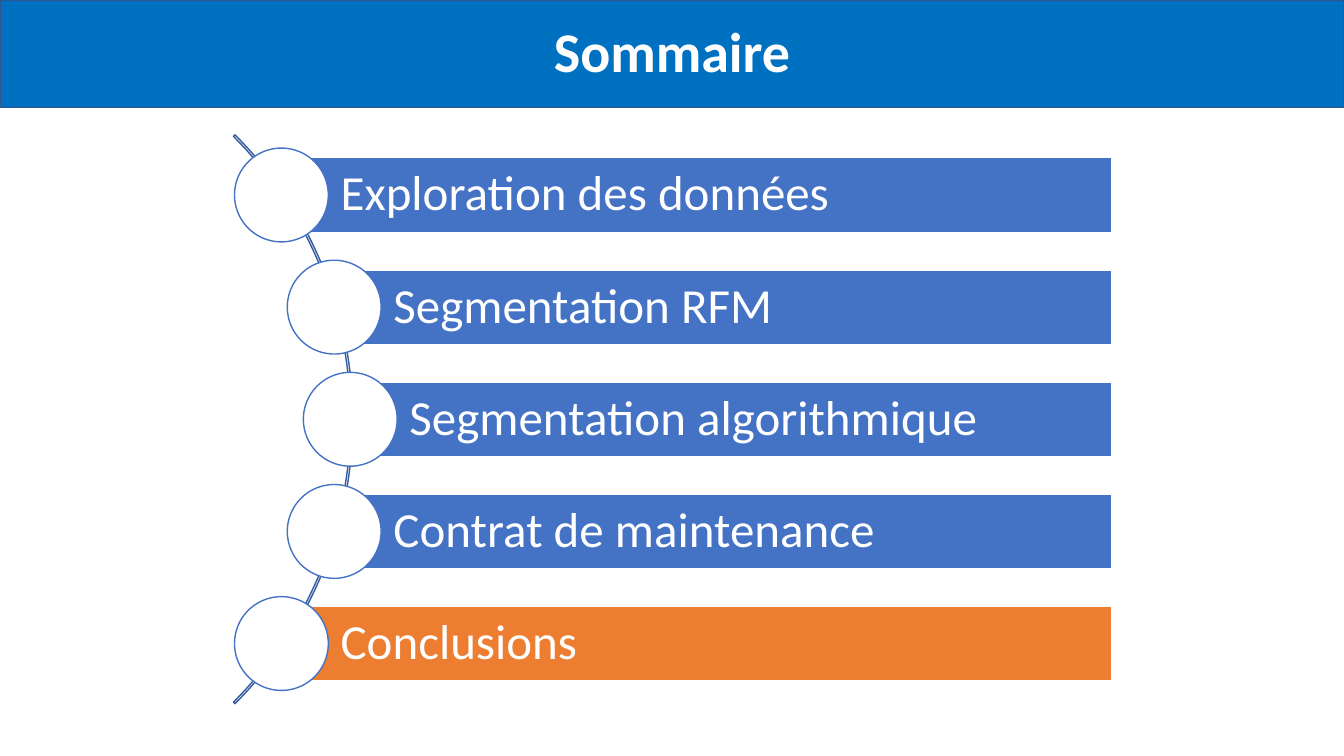
from dataclasses import dataclass
from math import sqrt

from pptx import Presentation, util as u
from pptx.dml.color import RGBColor
from pptx.enum import shapes, text

WIDTH, HEIGHT = 960, 540
BLUE, ORANGE, WHITE = "4472C4", "ED7D31", "FFFFFF"
FONT = "Calibri"

# The discs sit on a circle that shares its centre with the arc.
MID_X, MID_Y = -35.3, 299.5
ARC_SIZE = 574.6
ORBIT = 285.5
STEP = 80.1
BAR_RIGHT, BAR_HEIGHT = 794, 53.2
DISC_SIZE = 67


@dataclass
class Box:
    left: float
    top: float
    width: float
    height: float

    def points(self) -> list:
        return [u.Pt(n) for n in (self.left, self.top, self.width, self.height)]


@dataclass
class Topic:
    label: str
    fill: str = BLUE


TOPICS = [
    Topic("Exploration des données"),
    Topic("Segmentation RFM"),
    Topic("Segmentation algorithmique"),
    Topic("Contrat de maintenance"),
    Topic("Conclusions", ORANGE),
]

TITLE = {"size": u.Pt(40), "bold": True, "name": FONT}
LABEL = {"size": u.Pt(35), "bold": False, "name": FONT}
BAR_FRAME = {
    "word_wrap": True,
    "vertical_anchor": text.MSO_ANCHOR.MIDDLE,
    "margin_left": u.Pt(42.3),
    "margin_right": u.Pt(7),
    "margin_top": u.Pt(7),
    "margin_bottom": u.Pt(7),
}


def paint(color, code: str) -> None:
    color.rgb = RGBColor.from_string(code)


def set_all(item, values: dict) -> None:
    for name, value in values.items():
        setattr(item, name, value)


def add_shape(slide, kind, box: Box, fill: str, line: str):
    """Draw a flat shape; an empty fill code leaves it hollow."""
    shape = slide.shapes.add_shape(kind, *box.points())
    shape.shadow.inherit = False
    if fill:
        shape.fill.solid()
        paint(shape.fill.fore_color, fill)
    else:
        shape.fill.background()
    paint(shape.line.color, line)
    shape.line.width = u.Pt(1)
    return shape


def write(frame, words: str, style: dict, align, spacing: float) -> None:
    par = frame.paragraphs[0]
    set_all(par, {"alignment": align, "line_spacing": spacing})
    run = par.add_run()
    run.text = words
    set_all(run.font, style)
    paint(run.font.color, WHITE)


def add_title(slide) -> None:
    add_shape(slide, shapes.MSO_SHAPE.RECTANGLE, Box(0, 0, WIDTH, 77), "0070C0", "325491")
    box = slide.shapes.add_textbox(*Box(0, 8.6, WIDTH, 55.4).points())
    box.text_frame.word_wrap = True
    write(box.text_frame, "Sommaire", TITLE, text.PP_ALIGN.CENTER, 1.0)


def add_arc(slide) -> None:
    half = ARC_SIZE / 2
    box = Box(MID_X - half, MID_Y - half, ARC_SIZE, ARC_SIZE)
    arc = add_shape(slide, shapes.MSO_SHAPE.BLOCK_ARC, box, "", "365B9D")
    for index, value in enumerate((189, 27, 0.0027)):
        arc.adjustments[index] = value


def add_topic(slide, topic: Topic, rise: float) -> None:
    """Draw a bar and its disc, rise points below the arc's centre."""
    x, y = MID_X + sqrt(ORBIT ** 2 - rise ** 2), MID_Y + rise
    box = Box(x, y - BAR_HEIGHT / 2, BAR_RIGHT - x, BAR_HEIGHT)
    bar = add_shape(slide, shapes.MSO_SHAPE.RECTANGLE, box, topic.fill, WHITE)
    set_all(bar.text_frame, BAR_FRAME)
    write(bar.text_frame, topic.label, LABEL, text.PP_ALIGN.LEFT, 0.9)
    half = DISC_SIZE / 2
    disc = Box(x - half, y - half, DISC_SIZE, DISC_SIZE)
    add_shape(slide, shapes.MSO_SHAPE.OVAL, disc, WHITE, BLUE)


def main() -> None:
    deck = Presentation()
    set_all(deck, {"slide_width": u.Pt(WIDTH), "slide_height": u.Pt(HEIGHT)})
    slide = deck.slides.add_slide(deck.slide_layouts[6])
    add_title(slide)
    add_arc(slide)
    for index, topic in enumerate(TOPICS):
        add_topic(slide, topic, (index - len(TOPICS) // 2) * STEP)
    deck.save("out.pptx")


if __name__ == "__main__":
    main()
